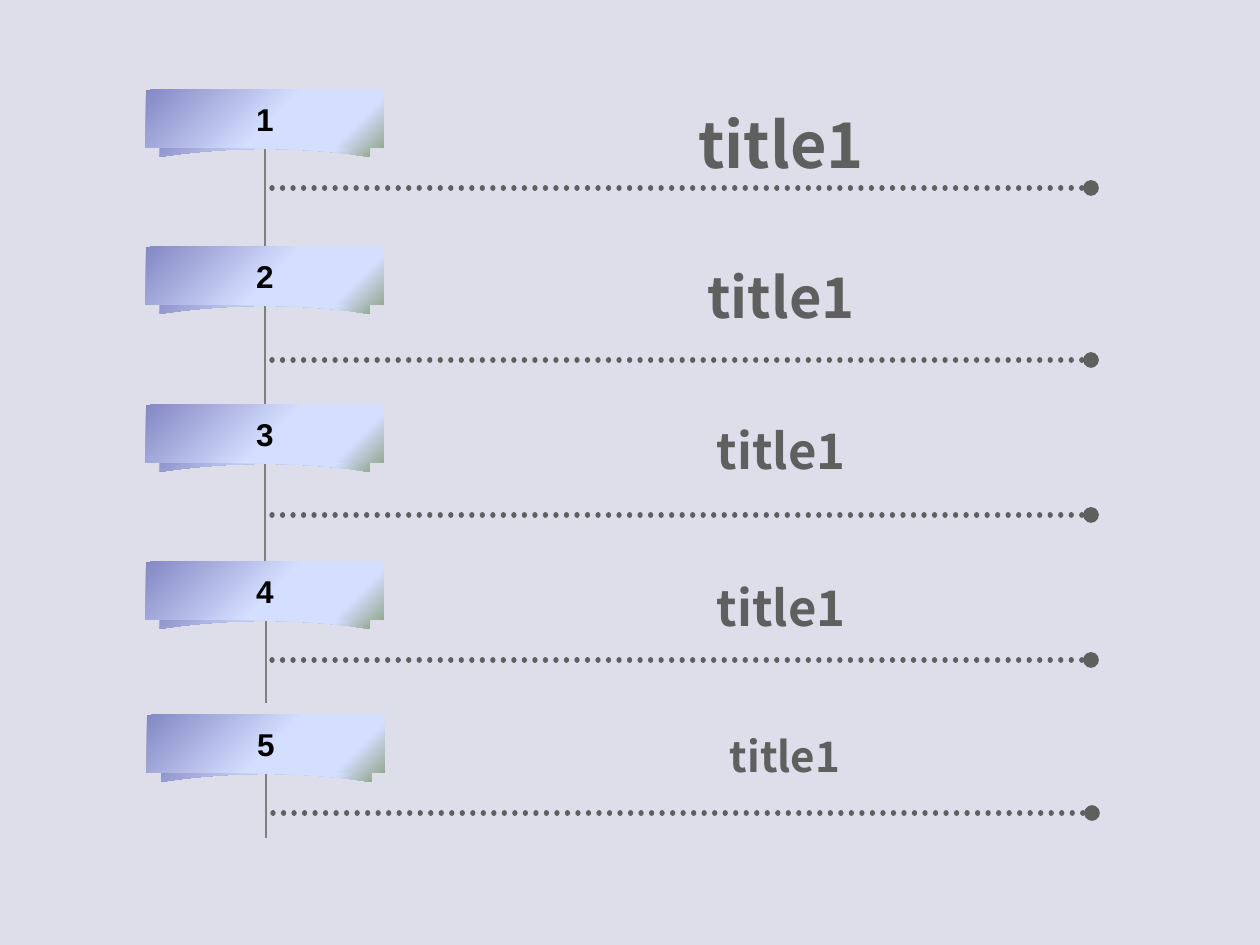
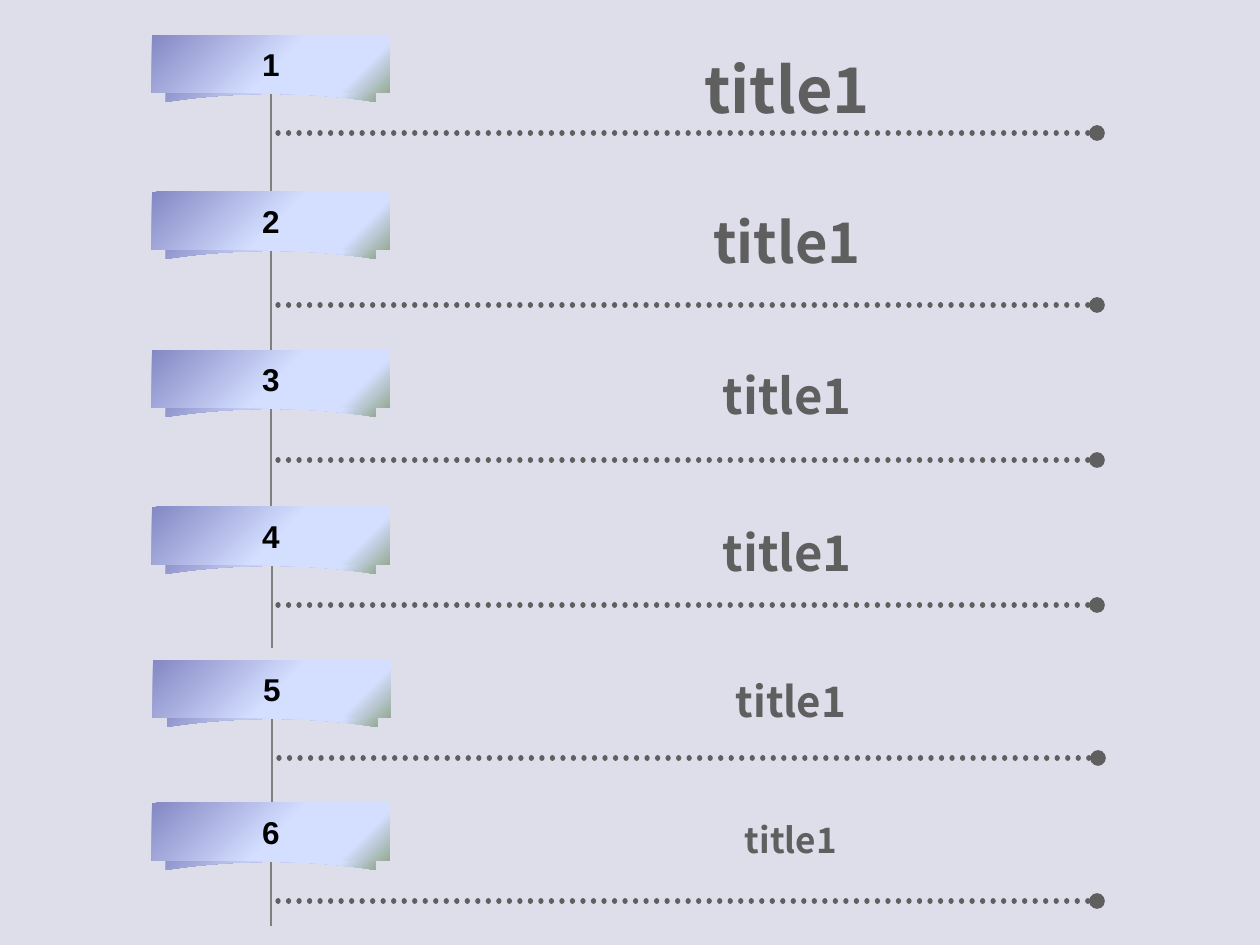
from collections import namedtuple

from lxml.etree import SubElement
from pptx import Presentation
from pptx.dml.color import RGBColor
from pptx.enum.dml import MSO_LINE
from pptx.enum.shapes import MSO_CONNECTOR, MSO_SHAPE
from pptx.enum.text import MSO_ANCHOR, MSO_AUTO_SIZE, PP_ALIGN
from pptx.oxml.ns import qn
from pptx.util import Emu, Pt

EMU_PER_PIXEL = 914400 / 126
BACKGROUND = "DDDEEA"
STEM_GRAY = "808080"
TEXT_GRAY = "5F5F5F"
BLACK = "000000"
RIBBON_STOPS = [(0, "8488C4"), (53, "D4DEFF"), (83, "D4DEFF"), (100, "96AB94")]

BANNER_W, BANNER_H = 238, 58
FOLD_W, FOLD_TOP, FOLD_SHOULDER, FOLD_BOTTOM, FOLD_ARCH = 210, 39, 46, 67, 8
FOLD_STEPS = 20
LAST_STEM_END = 123

Row = namedtuple("Row", "top banner_dx stem_dx stem_start stem_end leader_y "
                        "title_dx title_size title_h")
ROWS = [
    Row(0, 0, 0, 59, 158, 98, 0, 36, 90),
    Row(157, 0, 0, 59, 158, 113, 0, 32, 81),
    Row(315, 0, 0, 59, 157, 110, 0, 28, 72),
    Row(472, 0, 1, 37, 141, 98, 0, 28, 72),
    Row(625, 1, 1, 59, 143, 98, 4, 24, 64),
    Row(768, 0, 0, 59, 143, 98, 4, 20, 55),
]


def px(pixels):
    return Emu(round(pixels * EMU_PER_PIXEL))


def color(hex_code):
    return RGBColor.from_string(hex_code)


def fill_ribbon(part):
    part.shadow.inherit = False
    part.line.fill.background()
    part.fill.gradient()
    part.fill.gradient_angle = 315
    stops = next(part.element.iter(qn("a:gsLst")))
    stops.clear()
    for percent, hex_code in RIBBON_STOPS:
        stop = SubElement(stops, qn("a:gs"), pos=str(percent * 1000))
        SubElement(stop, qn("a:srgbClr"), val=hex_code)


def write_line(frame, text, font_name, size, hex_code):
    frame.text = text
    paragraph = frame.paragraphs[0]
    paragraph.alignment = PP_ALIGN.CENTER
    font = paragraph.runs[0].font
    font.name, font.size, font.bold = font_name, Pt(size), True
    font.color.rgb = color(hex_code)


def add_line(slide, start, end, hex_code, width):
    line = slide.shapes.add_connector(
        MSO_CONNECTOR.STRAIGHT, *map(px, start + end))
    line.line.color.rgb = color(hex_code)
    line.line.width = Pt(width)
    SubElement(line.element.spPr, qn("a:effectLst"))
    return line


def add_leader(slide, left, y):
    leader = add_line(slide, (left, y), (left + 819, y), TEXT_GRAY, 3)
    leader.line.dash_style = MSO_LINE.ROUND_DOT
    outline = leader.line._get_or_add_ln()
    outline.set("cap", "rnd")
    SubElement(outline, qn("a:tailEnd"), type="oval")


def fold_outline(left, top):
    half = FOLD_W / 2
    arch = []
    for step in range(FOLD_STEPS + 1):
        side = 1 - 2 * step / FOLD_STEPS
        arch.append((left + half + half * side,
                     top + FOLD_BOTTOM - FOLD_ARCH * (1 - side ** 2)))
    upper = [(left, top + FOLD_SHOULDER), (left + half, top + FOLD_TOP),
             (left + FOLD_W, top + FOLD_SHOULDER)]
    return [(px(x), px(y)) for x, y in arch + upper]


def add_banner(slide, left, top, number):
    ribbon = slide.shapes.add_group_shape()
    first, *rest = fold_outline(left + (BANNER_W - FOLD_W) / 2, top)
    builder = ribbon.shapes.build_freeform(*first)
    builder.add_line_segments(rest, close=True)
    fill_ribbon(builder.convert_to_shape())

    banner = ribbon.shapes.add_shape(
        MSO_SHAPE.RECTANGLE, px(left), px(top), px(BANNER_W), px(BANNER_H))
    fill_ribbon(banner)
    banner.text_frame.word_wrap = False
    banner.text_frame.vertical_anchor = MSO_ANCHOR.MIDDLE
    write_line(banner.text_frame, str(number), "Arial", 18, BLACK)


def add_title(slide, left, top, row):
    title = slide.shapes.add_textbox(px(left), px(top), px(620), px(row.title_h))
    title.text_frame.word_wrap = True
    title.text_frame.auto_size = MSO_AUTO_SIZE.SHAPE_TO_FIT_TEXT
    write_line(title.text_frame, "title1", "Noto Sans CJK SC",
               row.title_size, TEXT_GRAY)


def add_agenda(deck, left, top, count):
    slide = deck.slides.add_slide(deck.slide_layouts[6])
    for number, row in enumerate(ROWS[:count], 1):
        y = top + row.top
        stem_x = left + 119 + row.stem_dx
        stem_end = LAST_STEM_END if number == count else row.stem_end
        add_line(slide, (stem_x, y + row.stem_start), (stem_x, y + stem_end),
                 STEM_GRAY, 0.75)
        add_banner(slide, left + row.banner_dx, y, number)
        add_leader(slide, left + 126 + row.banner_dx, y + row.leader_y)
        add_title(slide, left + 325 + row.title_dx, y + 9, row)


def main():
    deck = Presentation()
    deck.slide_width, deck.slide_height = px(1260), px(945)
    backdrop = deck.slide_master.background.fill
    backdrop.solid()
    backdrop.fore_color.rgb = color(BACKGROUND)
    add_agenda(deck, left=146, top=90, count=5)
    add_agenda(deck, left=152, top=35, count=6)
    deck.save("out.pptx")


main()
